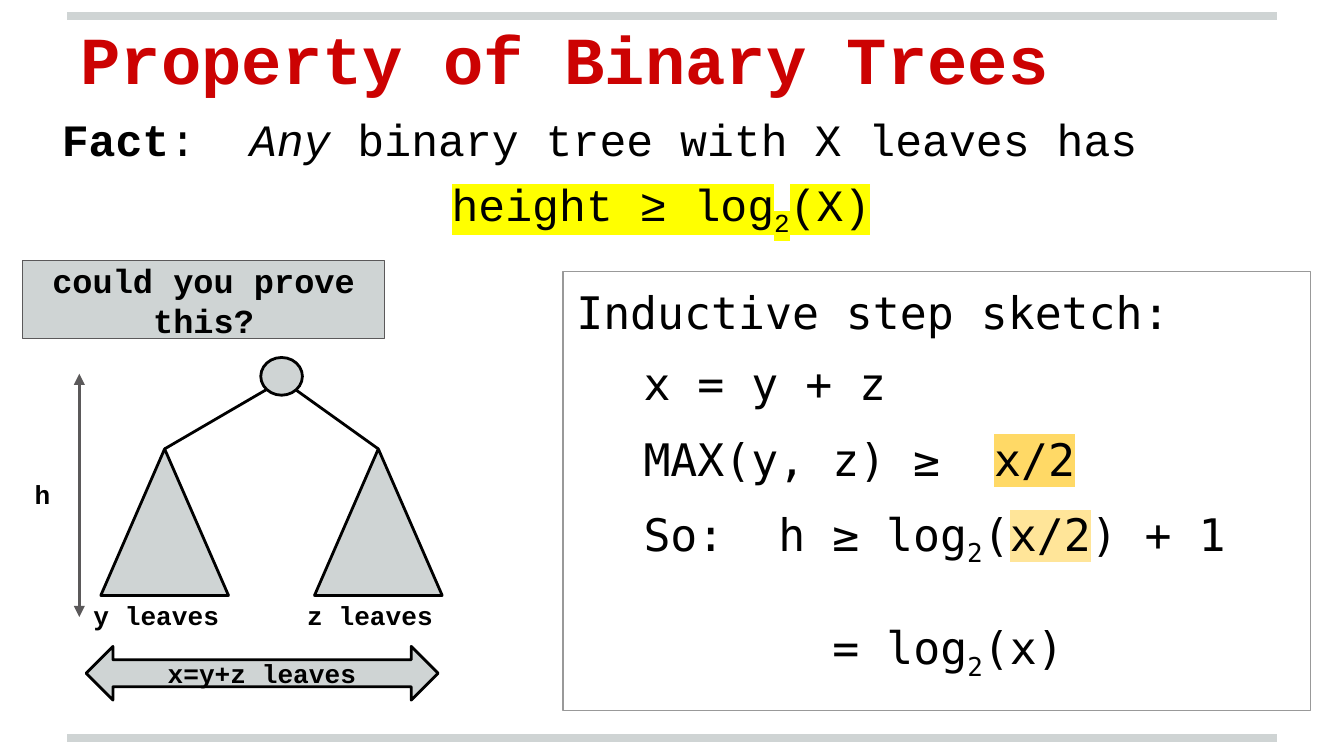
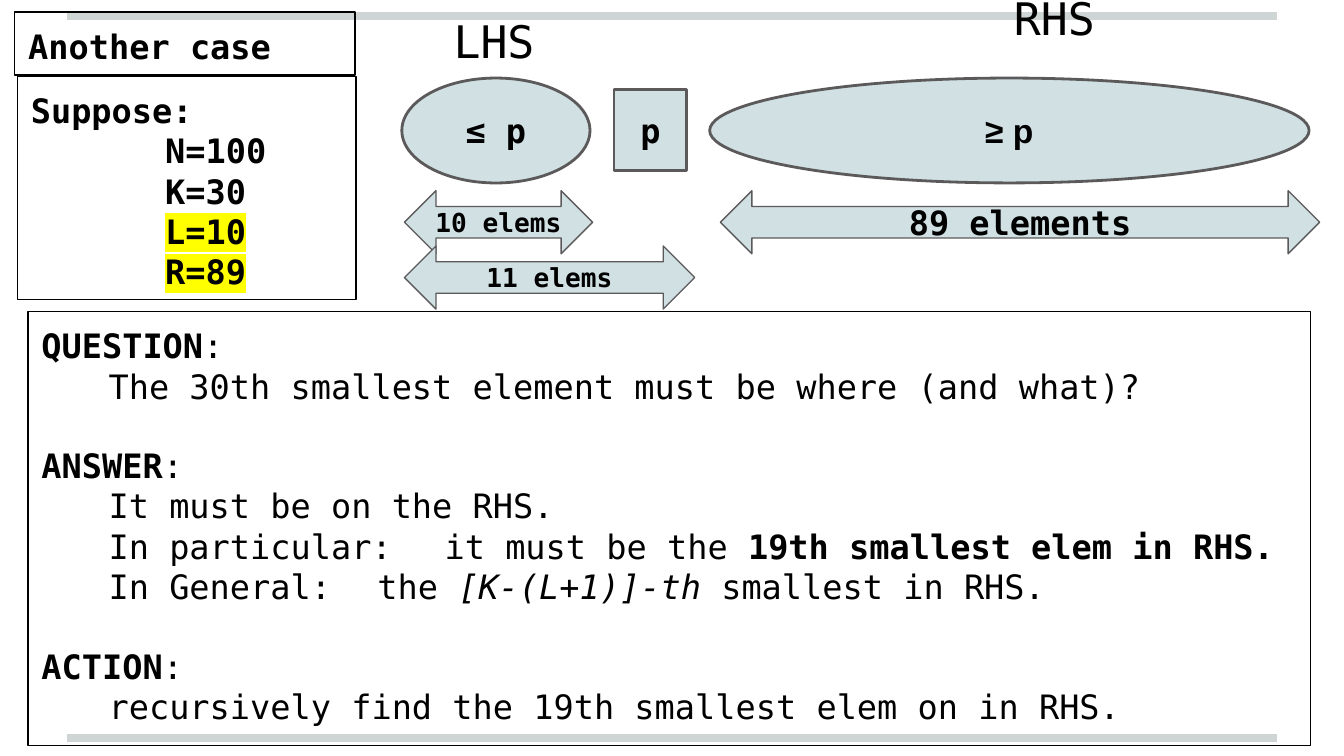
from lxml.etree import SubElement
from pptx import Presentation
from pptx.dml.color import RGBColor
from pptx.enum.shapes import MSO_CONNECTOR, MSO_SHAPE
from pptx.enum.text import MSO_ANCHOR, MSO_AUTO_SIZE, PP_ALIGN
from pptx.oxml.ns import qn
from pptx.util import Pt

BLACK = RGBColor(0x00, 0x00, 0x00)
RED = RGBColor(0xCC, 0x02, 0x02)
GREY = RGBColor(0xCF, 0xD4, 0xD4)
DARK_GREY = RGBColor(0x5B, 0x59, 0x5A)
MID_GREY = RGBColor(0x99, 0x99, 0x99)
PALE_BLUE = RGBColor(0xD0, 0xE0, 0xE3)
YELLOW = RGBColor(0xFF, 0xFF, 0x00)
GOLD = RGBColor(0xFF, 0xD9, 0x66)
PALE_GOLD = RGBColor(0xFF, 0xE5, 0x99)
COURIER = "Courier New"
DEJAVU = "DejaVu Sans Mono"
BOLD = {"bold": True}
ITALIC = {"italic": True}
SUBSCRIPT = {"baseline": -25}


def style_span(span, font, size, color, bold=False, italic=False, baseline=0, highlight=None):
    """Format one run, including subscript and highlight."""
    span.font.size = Pt(size)
    span.font.bold = bold
    span.font.italic = italic
    span.font.color.rgb = color
    properties = span.font._element
    if baseline:
        properties.set("baseline", str(baseline * 1000))
    if highlight is not None:
        mark = SubElement(properties, qn("a:highlight"))
        SubElement(mark, qn("a:srgbClr")).set("val", str(highlight))
    span.font.name = font


def write(shape, paras, font, size, color=BLACK, bold=False,
          align=PP_ALIGN.LEFT, anchor=MSO_ANCHOR.TOP):
    """Fill a shape with (indent, space before, spans, tab) paragraphs."""
    frame = shape.text_frame
    frame.word_wrap = True
    frame.auto_size = MSO_AUTO_SIZE.NONE
    frame.vertical_anchor = anchor
    frame.margin_left = frame.margin_right = Pt(7.2)
    frame.margin_top = frame.margin_bottom = Pt(7.2)
    for number, (indent, before, spans, *tab) in enumerate(paras):
        para = frame.paragraphs[0] if number == 0 else frame.add_paragraph()
        para.alignment = align
        para.space_before = Pt(before)
        properties = para._p.get_or_add_pPr()
        properties.set("marL", str(Pt(indent)))
        properties.set("indent", "0")
        SubElement(properties, qn("a:buNone"))
        for position in tab:
            stops = SubElement(properties, qn("a:tabLst"))
            SubElement(stops, qn("a:tab"), pos=str(Pt(position)), algn="l")
        for text, style in spans:
            span = para.add_run()
            span.text = text
            style_span(span, font, size, color, **{"bold": bold, **style})


def plain(text):
    """Return the paragraphs of a one-line label."""
    return [(0, 0, [(text, {})])]


def place(shape, box):
    """Move a shape to a box given in points."""
    shape.left, shape.top, shape.width, shape.height = (Pt(value) for value in box)
    return shape


def add_figure(page, kind, box, line, width, fill=None):
    """Add an outlined preset shape."""
    shape = page.shapes.add_shape(kind, *(Pt(value) for value in box))
    shape.shadow.inherit = False
    shape.line.color.rgb = line
    shape.line.width = Pt(width)
    if fill is None:
        shape.fill.background()
    else:
        shape.fill.solid()
        shape.fill.fore_color.rgb = fill
    return shape


def add_label(page, box, text, font, size, **style):
    """Add a one-line text box."""
    label = page.shapes.add_textbox(*(Pt(value) for value in box))
    write(label, plain(text), font, size, **style)


def add_line(page, start, end, color, width, arrows=False):
    """Add a straight line, with arrowheads at both ends if asked."""
    line = page.shapes.add_connector(
        MSO_CONNECTOR.STRAIGHT, *(Pt(value) for value in (*start, *end)))
    line.line.color.rgb = color
    line.line.width = Pt(width)
    if arrows:
        outline = line.line._get_or_add_ln()
        for tip in ("a:headEnd", "a:tailEnd"):
            SubElement(outline, qn(tip)).set("type", "triangle")
    SubElement(line._element.spPr, qn("a:effectLst"))
    return line


def add_bands(deck, page):
    """Put the top and bottom bands on the master."""
    for y in (8.6, 395.3):
        band = add_line(page, (36, y), (684, y), GREY, 4)
        deck.slide_master.shapes._spTree.append(band._element)


def add_tree(page, left, top):
    """Draw a root with two subtrees, their leaf counts and the height."""
    for x, root_x, name in ((42.5, 131.1, "y"), (157, 146.9, "z")):
        add_figure(page, MSO_SHAPE.ISOSCELES_TRIANGLE,
                   (left + x, top + 49, 68.4, 78.5), BLACK, 1.5, GREY)
        add_line(page, (left + root_x, top + 17.3), (left + x + 34.2, top + 49), BLACK, 1.5)
        add_label(page, (left + x - 11, top + 133.2, 87.8, 20.2), f"{name} leaves",
                  COURIER, 14, bold=True, anchor=MSO_ANCHOR.BOTTOM)
    add_figure(page, MSO_SHAPE.OVAL, (left + 128.2, top, 22.3, 20.2), BLACK, 1.5, GREY)
    add_line(page, (left + 31, top + 8.7), (left + 31, top + 139), DARK_GREY, 1.5, arrows=True)
    add_label(page, (left, top + 57.6, 20.9, 20.2), "h", COURIER, 14, bold=True)
    total = add_figure(page, MSO_SHAPE.LEFT_RIGHT_ARROW,
                       (left + 34.6, top + 154.8, 188.6, 28.8), BLACK, 1.5, GREY)
    write(total, plain("x=y+z leaves"), COURIER, 14, bold=True,
          align=PP_ALIGN.CENTER, anchor=MSO_ANCHOR.MIDDLE)


def add_sketch(page, box):
    """Add the framed inductive step."""
    frame = add_figure(page, MSO_SHAPE.RECTANGLE, box, MID_GREY, 0.75)
    write(frame, [
        (0, 0, [("Inductive step sketch:", {})]),
        (36, 9.3, [("x = y + z", {})]),
        (36, 11.6, [("MAX(y, z) ≥  ", {}), ("x/2", {"highlight": GOLD})]),
        (36, 11.6, [("So:  h ≥ log", {}), ("2", SUBSCRIPT), ("(", {}),
                    ("x/2", {"highlight": PALE_GOLD}), (") + 1", {})]),
        (137.2, 28, [("= log", {}), ("2", SUBSCRIPT), ("(x)", {})]),
    ], DEJAVU, 24)


def add_partition(page, left, top):
    """Draw the parts around the pivot and the arrows counting them."""
    for x, y, name in ((0, 12.2, "LHS"), (300.2, 0, "RHS")):
        add_label(page, (left + x, top + y, 107.3, 33.8), name, DEJAVU, 24,
                  align=PP_ALIGN.CENTER, anchor=MSO_ANCHOR.MIDDLE)
    oval, square, arrow = MSO_SHAPE.OVAL, MSO_SHAPE.RECTANGLE, MSO_SHAPE.LEFT_RIGHT_ARROW
    for kind, x, y, width, height, line, text, font, size in (
        (oval, 4.3, 49, 100.8, 56.2, 1.5, "≤ p", DEJAVU, 18),
        (square, 118, 55.4, 38.9, 43.2, 1.5, "p", DEJAVU, 18),
        (oval, 169.2, 49, 321.1, 56.2, 1.5, "≥ p", "Arial", 18),
        (arrow, 5.7, 109.4, 100.8, 33.8, 0.75, "10 elems", DEJAVU, 14),
        (arrow, 174.9, 109.4, 321.1, 33.8, 0.75, "89 elements", DEJAVU, 18),
        (arrow, 5.7, 139, 155.5, 33.8, 0.75, "11 elems", DEJAVU, 14),
    ):
        part = add_figure(page, kind, (left + x, top + y, width, height),
                          DARK_GREY, line, PALE_BLUE)
        write(part, plain(text), font, size, bold=True,
              align=PP_ALIGN.CENTER, anchor=MSO_ANCHOR.MIDDLE)


def add_givens(page, box):
    """Add the framed list of assumed values."""
    values = (("N=100", {}), ("K=30", {}),
              ("L=10", {"highlight": YELLOW}), ("R=89", {"highlight": YELLOW}))
    frame = add_figure(page, MSO_SHAPE.RECTANGLE, box, BLACK, 0.75)
    write(frame, plain("Suppose:") + [(72, 0, [value]) for value in values],
          DEJAVU, 18, bold=True)


def add_discussion(page, box):
    """Add the framed question, answer and action."""
    frame = add_figure(page, MSO_SHAPE.RECTANGLE, box, BLACK, 0.75)
    sections = (
        ("QUESTION", [[("The 30th smallest element must be where (and what)?", {})]]),
        ("ANSWER", [
            [("It must be on the RHS.", {})],
            [("In particular:\tit must be the ", {}), ("19th smallest elem in RHS.", BOLD)],
            [("In General:\tthe ", {}), ("[K-(L+1)]-th", ITALIC), (" smallest in RHS.", {})],
        ]),
        ("ACTION", [[("recursively find the 19th smallest elem on in RHS.", {})]]),
    )
    paras = []
    for heading, lines in sections:
        paras.append((0, 21 if paras else 0, [(heading, BOLD), (":", {})]))
        paras += [(36, 0, spans, 209.4) for spans in lines]
    write(frame, paras, DEJAVU, 18)


def build_property_page(page):
    """Build the slide on the height of binary trees."""
    title = place(page.shapes.title, (36, -7.9, 648, 67.7))
    write(title, plain("Property of Binary Trees"), COURIER, 36, RED, True,
          anchor=MSO_ANCHOR.BOTTOM)
    body = place(page.placeholders[1], (25.9, 52.6, 658.1, 119.5))
    marked = {"highlight": YELLOW}
    write(body, [
        (0, 6, [("Fact", BOLD), (":  ", {}), ("Any", ITALIC),
                (" binary tree with X leaves has", {})]),
        (208.8, 6, [("height ≥ log", marked), ("2", {**marked, **SUBSCRIPT}),
                    ("(X)", marked)]),
    ], COURIER, 24)
    add_tree(page, 11.5, 191.5)
    add_sketch(page, (301.7, 145.4, 400.3, 235.4))
    prompt = add_figure(page, MSO_SHAPE.RECTANGLE, (12.2, 139.7, 193.7, 41.8),
                        DARK_GREY, 0.75, GREY)
    write(prompt, plain("could you prove this?"), COURIER, 18, bold=True,
          align=PP_ALIGN.CENTER, anchor=MSO_ANCHOR.MIDDLE)


def build_case_page(page):
    """Build the slide on selecting from the right-hand side."""
    title = place(page.shapes.title, (7.9, 6.5, 182.2, 33.8))
    title.line.color.rgb = BLACK
    title.line.width = Pt(0.75)
    write(title, plain("Another case"), DEJAVU, 18, bold=True)
    add_partition(page, 211, -7.2)
    add_givens(page, (9.4, 41, 181.4, 119.5))
    add_discussion(page, (15.1, 167, 686.9, 232.6))


def main():
    """Build and save the deck."""
    deck = Presentation()
    deck.slide_width, deck.slide_height = Pt(720), Pt(405)
    property_page = deck.slides.add_slide(deck.slide_layouts[1])
    add_bands(deck, property_page)
    build_property_page(property_page)
    build_case_page(deck.slides.add_slide(deck.slide_layouts[5]))
    deck.save("out.pptx")


if __name__ == "__main__":
    main()
